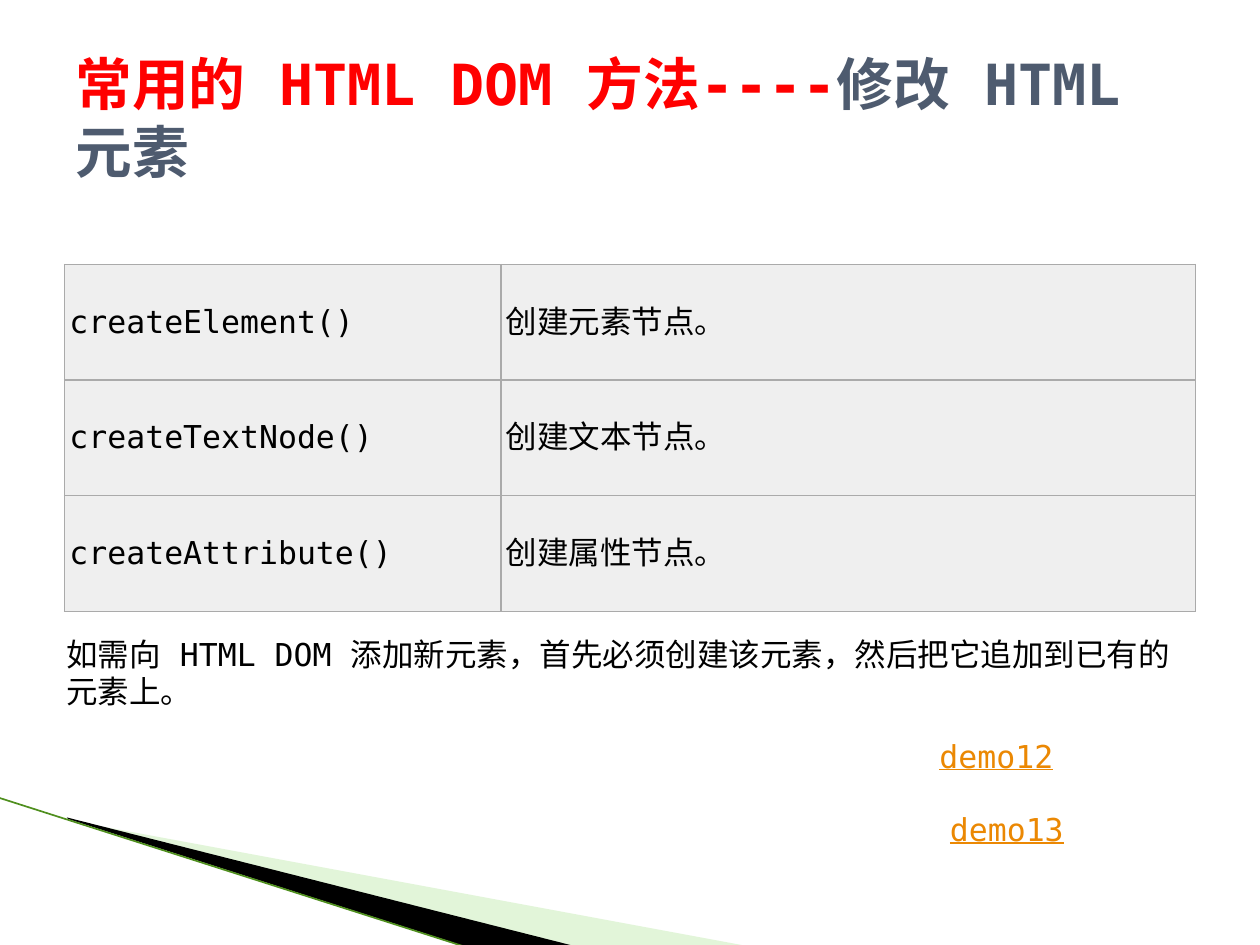
from lxml.etree import SubElement
from pptx import Presentation
from pptx.dml.color import RGBColor
from pptx.enum.shapes import MSO_CONNECTOR
from pptx.enum.text import MSO_ANCHOR
from pptx.oxml.ns import qn
from pptx.util import Cm, Pt

COLORS = {
    "red": "FF0000",
    "slate": "4E5B6F",
    "black": "000000",
    "orange": "EB8803",
    "cell": "EFEFEF",
    "border": "AAAAAA",
    "pale_green": "B8E7A1",
    "green": "4F8F1E",
}
FONT = "DejaVu Sans Mono"


def add_text(paragraph, text, size=18, color="black", bold=False, underline=False):
    run = paragraph.add_run()
    run.text = text
    run.font.size = Pt(size)
    run.font.bold = bold
    run.font.underline = underline
    run.font.color.rgb = RGBColor.from_string(COLORS[color])
    run.font.name = FONT
    SubElement(run.font._element, qn("a:ea"), typeface=FONT)


presentation = Presentation()
presentation.slide_width = Cm(25.4)
presentation.slide_height = Cm(19.05)
slide = presentation.slides.add_slide(presentation.slide_layouts[6])

wedges = [
    ("pale_green", 40, [(1.4, 16.54), (15.11, 19.08), (11.58, 19.08), (1.4, 16.51)]),
    ("black", 100, [(1.35, 16.48), (11.61, 19.08), (9.45, 19.1), (1.37, 16.51)]),
]
for color, opacity, corners in wedges:
    points = [(Cm(x), Cm(y)) for x, y in corners]
    builder = slide.shapes.build_freeform(*points[0], scale=1.0)
    builder.add_line_segments(points[1:], close=True)
    wedge = builder.convert_to_shape()
    wedge.shadow.inherit = False
    wedge.fill.solid()
    wedge.fill.fore_color.rgb = RGBColor.from_string(COLORS[color])
    wedge.line.fill.background()
    if opacity < 100:
        tint = wedge._element.spPr.find(".//" + qn("a:srgbClr"))
        SubElement(tint, qn("a:alpha"), val=str(opacity * 1000))

edge = slide.shapes.add_connector(
    MSO_CONNECTOR.STRAIGHT, Cm(-0.03), Cm(16.08), Cm(9.42), Cm(19.1)
)
edge.line.color.rgb = RGBColor.from_string(COLORS["green"])
edge.line.width = Pt(0.95)
SubElement(edge._element.spPr, qn("a:effectLst"))

methods = [
    ("createElement()", "创建元素节点。"),
    ("createTextNode()", "创建文本节点。"),
    ("createAttribute()", "创建属性节点。"),
]
method_table = slide.shapes.add_table(
    len(methods), 2, Cm(1.3), Cm(5.33), Cm(22.8), Cm(7)
).table
method_table.first_row = False
method_table.horz_banding = False
for column, width in zip(method_table.columns, (8.8, 14)):
    column.width = Cm(width)
for row, entry in zip(method_table.rows, methods):
    row.height = Cm(2.33)
    for cell, text in zip(row.cells, entry):
        cell.vertical_anchor = MSO_ANCHOR.MIDDLE
        cell.margin_left = cell.margin_top = cell.margin_bottom = Cm(0.1)
        cell.margin_right = Cm(0.28)
        add_text(cell.text_frame.paragraphs[0], text)
        properties = cell._tc.get_or_add_tcPr()
        for side in ("a:lnL", "a:lnR", "a:lnT", "a:lnB"):
            border = SubElement(properties, qn(side), w=str(Pt(0.75)))
            border_fill = SubElement(border, qn("a:solidFill"))
            SubElement(border_fill, qn("a:srgbClr"), val=COLORS["border"])
        cell.fill.solid()
        cell.fill.fore_color.rgb = RGBColor.from_string(COLORS["cell"])

title = {"size": 32.4, "bold": True}
demo = {"color": "orange", "underline": True}
passages = [
    ((1.27, 0.76, 22.86, 3.18), MSO_ANCHOR.MIDDLE, [
        ("常用的 HTML DOM 方法----", {**title, "color": "red"}),
        ("修改 HTML 元素", {**title, "color": "slate"}),
    ]),
    ((18.69, 14.73, 3.99, 1.02), MSO_ANCHOR.TOP, [("demo12", demo)]),
    ((18.9, 16.21, 3.99, 1.02), MSO_ANCHOR.TOP, [("demo13", demo)]),
    ((1.09, 12.67, 23.01, 1.8), MSO_ANCHOR.TOP, [
        ("如需向 HTML DOM 添加新元素，首先必须创建该元素，然后把它追加到已有的元素上。", {}),
    ]),
]
for place, anchor, pieces in passages:
    frame = slide.shapes.add_textbox(*map(Cm, place)).text_frame
    frame.word_wrap = True
    frame.vertical_anchor = anchor
    for text, look in pieces:
        add_text(frame.paragraphs[0], text, **look)

presentation.save("out.pptx")
